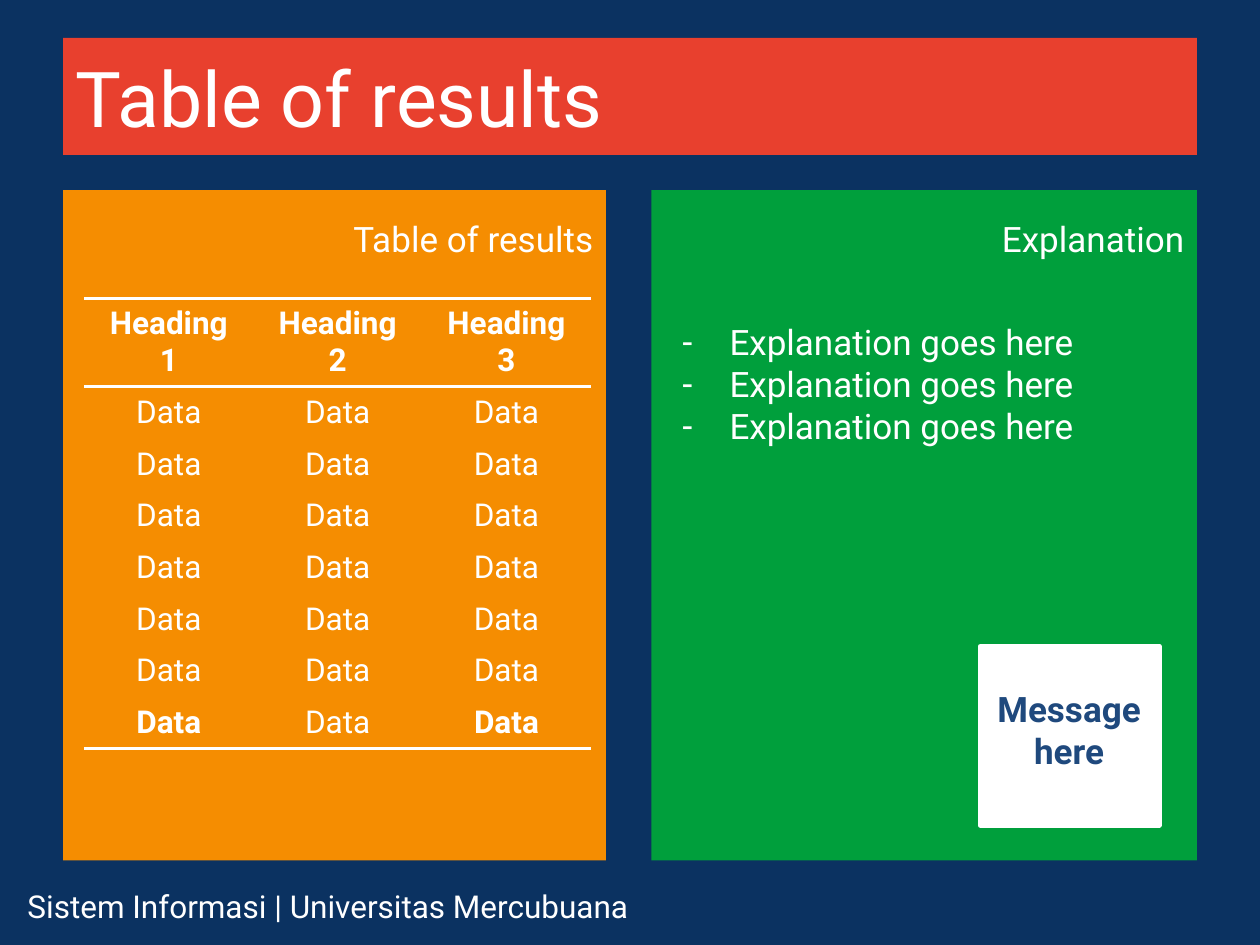
import pptx
import pptx.util
import pptx.dml.color
import pptx.enum.text
import pptx.enum.shapes
import pptx.oxml
import pptx.oxml.ns

Pt = pptx.util.Pt
Align = pptx.enum.text.PP_ALIGN
Anchor = pptx.enum.text.MSO_ANCHOR
Fit = pptx.enum.text.MSO_AUTO_SIZE

THEME = {
    "font": "Roboto",
    "navy": "0B3261", "red": "E8402E", "orange": "F58D01",
    "green": "009F3C", "white": "FFFFFF", "blue": "1F497D",
    "title": 44, "head": 20, "text": 18, "rule": 2, "edge": 3,
}

TITLE = "Table of results"
HEADS = ["Table of results", "Explanation"]
POINTS = ["Explanation goes here"] * 3
NOTE = "Message here"
FOOT = "Sistem Informasi | Universitas Mercubuana"
COLS = ["Heading 1", "Heading 2", "Heading 3"]
ROWS = [["Data"] * len(COLS) for _ in range(7)]
STRONG = {(len(ROWS), 0), (len(ROWS), 2)}

# Shares
LEFT, RIGHT = (5, 43.1), (51.7, 43.3)
PANEL, HEAD = (20.13, 70.93), (22.4, 9.33)
AREAS = {
    "title": (5, 4, 90, 12.4),
    "table": (6.7, 31.6, 40.2, 43.73),
    "list": (53.1, 33.2, 39.6, 14.8),
    "card": (77.8, 68.4, 14.2, 18.93),
    "note": (76.6, 72.13, 16.5, 11.6),
    "foot": (1.2, 93.2, 85, 4.53),
}
ROW = 5.47

deck = pptx.Presentation()
deck.slide_width = pptx.util.Inches(10)
deck.slide_height = pptx.util.Inches(7.5)
slide = deck.slides.add_slide(deck.slide_layouts[4])
tree = slide.shapes.title.element.getparent()


def color(name):
    return pptx.dml.color.RGBColor.from_string(THEME[name])


def area(x, y, w, h):
    wide, high = deck.slide_width / 100, deck.slide_height / 100
    return [int(x * wide), int(y * high), int(w * wide), int(h * high)]


def span(side, band):
    return area(side[0], band[0], side[1], band[1])


def place(shape, box):
    for key, value in zip(("left", "top", "width", "height"), box):
        setattr(shape, key, value)


def paint(shape, name):
    shape.fill.solid()
    shape.fill.fore_color.rgb = color(name)


def write(frame, lines, size, align=Align.LEFT, tint="white", bold=False, gap=0):
    frame.text = "\n".join(lines)
    for para in frame.paragraphs:
        para.alignment = align
        para.space_before = Pt(gap)
        look = {"name": THEME["font"], "size": Pt(THEME[size]), "bold": bold}
        for key, value in look.items():
            setattr(para.runs[0].font, key, value)
        para.runs[0].font.color.rgb = color(tint)


def setup(frame, anchor=Anchor.TOP, fit=Fit.NONE):
    look = {"word_wrap": True, "auto_size": fit, "vertical_anchor": anchor}
    for key, value in look.items():
        setattr(frame, key, value)


def block(box, name):
    shape = slide.shapes.add_shape(pptx.enum.shapes.MSO_SHAPE.RECTANGLE, *box)
    shape.shadow.inherit = False
    paint(shape, name)
    shape.line.fill.background()
    return shape


def label(key, text, size, **look):
    shape = slide.shapes.add_textbox(*area(*AREAS[key]))
    setup(shape.text_frame)
    write(shape.text_frame, [text], size, **look)
    return shape


def dash(para):
    props = para._p.get_or_add_pPr()
    step = pptx.util.Inches(0.38)
    props.set("marL", str(step))
    props.set("indent", str(-step))
    mark = pptx.oxml.parse_xml(
        f'<a:buChar {pptx.oxml.ns.nsdecls("a")} char="-"/>')
    props.append(mark)


def border(cell, shown):
    props = cell._tc.get_or_add_tcPr()
    for spot, side in enumerate("LRTB"):
        fill = "<a:noFill/>"
        if side in shown:
            fill = f'<a:solidFill><a:srgbClr val="{THEME["white"]}"/></a:solidFill>'
        props.insert(spot, pptx.oxml.parse_xml(
            f'<a:ln{side} {pptx.oxml.ns.nsdecls("a")} '
            f'w="{Pt(THEME["rule"])}">{fill}</a:ln{side}>'))


def grid():
    data = [COLS] + ROWS
    box = area(*AREAS["table"])
    table = slide.shapes.add_table(len(data), len(COLS), *box).table
    table.first_row = table.horz_banding = False
    edges = {0: "TB", 1: "T", len(ROWS): "B"}
    for col in table.columns:
        col.width = box[2] // len(COLS)
    for r, line in enumerate(data):
        table.rows[r].height = area(0, 0, 0, ROW)[3]
        for c, text in enumerate(line):
            cell = table.cell(r, c)
            cell.fill.background()
            cell.vertical_anchor = Anchor.MIDDLE
            write(cell.text_frame, [text], "text", Align.CENTER,
                  bold=r == 0 or (r, c) in STRONG)
            border(cell, edges.get(r, ""))


slide.background.fill.solid()
slide.background.fill.fore_color.rgb = color("navy")
hold = {p.placeholder_format.idx: p for p in slide.placeholders}

back = [label("foot", FOOT, "text", gap=3.6),
        block(span(LEFT, PANEL), "orange"),
        block(span(RIGHT, PANEL), "green")]
for spot, shape in enumerate(back, 2):
    tree.insert(spot, shape.element)

place(hold[0], area(*AREAS["title"]))
paint(hold[0], "red")
setup(hold[0].text_frame, Anchor.MIDDLE)
write(hold[0].text_frame, [TITLE], "title")

for idx, side, text in zip((1, 3), (LEFT, RIGHT), HEADS):
    place(hold[idx], span(side, HEAD))
    setup(hold[idx].text_frame)
    write(hold[idx].text_frame, [text], "head", Align.RIGHT, gap=4)

grid()
tree.remove(hold[2].element)

card = block(area(*AREAS["card"]), "white")
card.line.color.rgb = color("white")
card.line.width = Pt(THEME["edge"])
label("note", NOTE, "head", align=Align.CENTER, tint="blue", bold=True, gap=4)

place(hold[4], area(*AREAS["list"]))
setup(hold[4].text_frame, fit=Fit.SHAPE_TO_FIT_TEXT)
write(hold[4].text_frame, POINTS, "head")
for para in hold[4].text_frame.paragraphs:
    dash(para)

deck.save("out.pptx")
